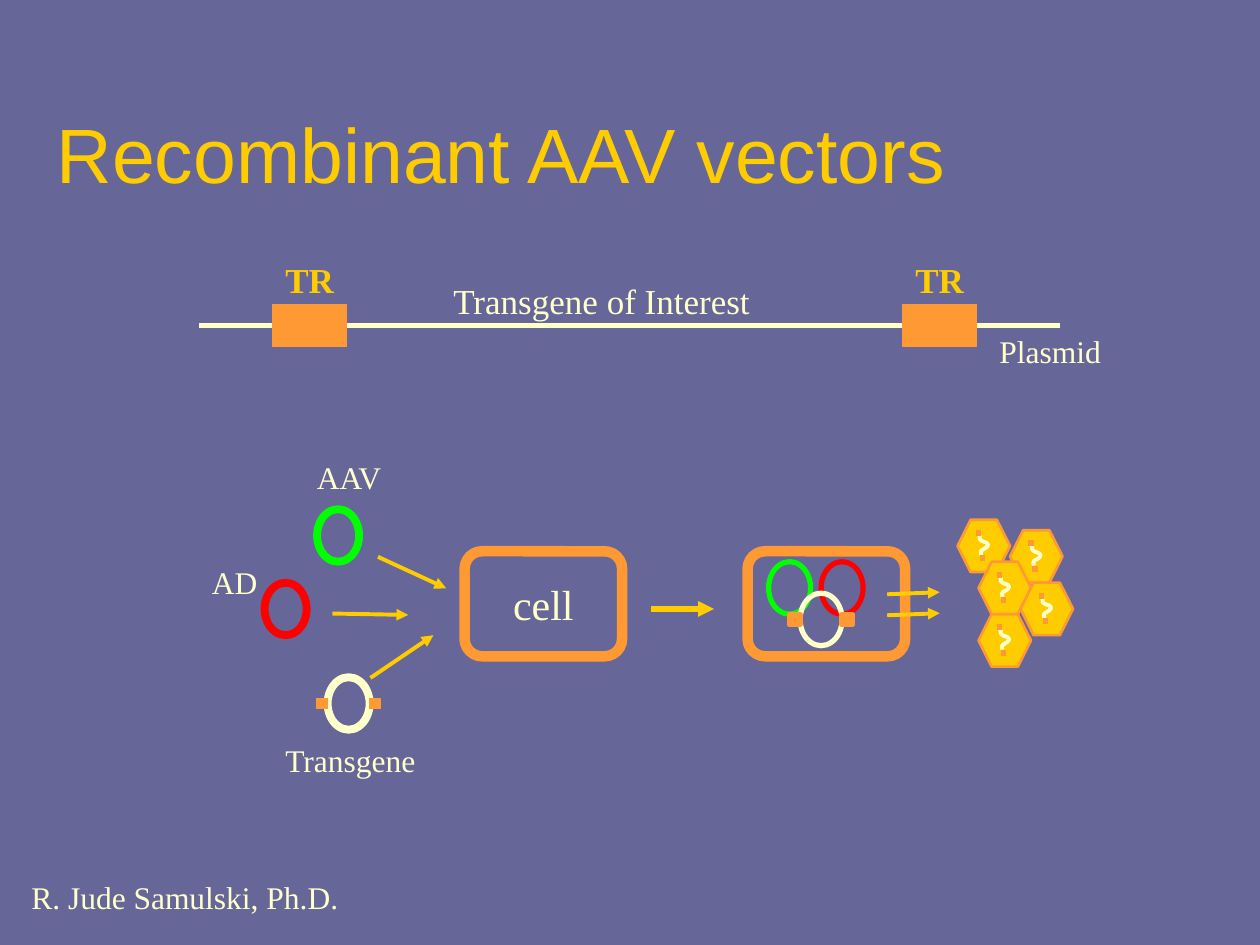
"""Build the slide on recombinant AAV vectors."""
from dataclasses import dataclass
from typing import NamedTuple, Optional

from lxml import etree
from pptx import Presentation, util as u
from pptx.dml.color import RGBColor
from pptx.enum import shapes, text
from pptx.oxml.ns import qn


@dataclass(frozen=True)
class Theme:
    ground: str = "666699"
    gold: str = "FFCC00"
    orange: str = "FF9933"
    cream: str = "FFFFCC"
    green: str = "00FF00"
    red: str = "FF0000"
    sans: str = "Arial"
    serif: str = "Times New Roman"
    title: int = 44
    cell: int = 24
    gene: int = 20
    label: int = 18


THEME = Theme()
KIND = shapes.MSO_SHAPE


class Label(NamedTuple):
    words: str
    left: float
    top: float
    width: float
    height: float = 29
    size: int = THEME.label
    color: str = THEME.cream
    bold: bool = False
    font: str = THEME.serif
    wrap: bool = False


class Figure(NamedTuple):
    kind: KIND
    left: float
    top: float
    width: float
    height: float
    line: str
    weight: float
    fill: Optional[str] = None


class Stroke(NamedTuple):
    x1: float
    y1: float
    x2: float
    y2: float
    color: str = THEME.gold
    weight: float = 2.25
    arrow: bool = True


def apply(target, values: dict) -> None:
    for name, value in values.items():
        setattr(target, name, value)


def write(frame, words: str, font: str, size: int, color: str, bold: bool = False):
    para = frame.paragraphs[0]
    span = para.add_run()
    span.text = words
    apply(span.font, {"name": font, "size": u.Pt(size), "bold": bold})
    span.font.color.rgb = RGBColor.from_string(color)
    return para


def paint(shape, color: str, weight: float, fill: Optional[str] = None) -> None:
    shape.shadow.inherit = False
    shape.line.color.rgb = RGBColor.from_string(color)
    shape.line.width = u.Pt(weight)
    if fill:
        shape.fill.solid()
        shape.fill.fore_color.rgb = RGBColor.from_string(fill)
    else:
        shape.fill.background()


def draw_label(page, label: Label) -> None:
    box = page.shapes.add_textbox(*map(u.Pt, label[1:5]))
    fit = text.MSO_AUTO_SIZE.SHAPE_TO_FIT_TEXT
    anchor = text.MSO_ANCHOR.BOTTOM if label.wrap else text.MSO_ANCHOR.TOP
    apply(box.text_frame, {"word_wrap": label.wrap, "auto_size": fit, "vertical_anchor": anchor})
    write(box.text_frame, label.words, label.font, label.size, label.color, label.bold)


def draw_figure(page, figure: Figure):
    shape = page.shapes.add_shape(figure.kind, *map(u.Pt, figure[1:5]))
    paint(shape, figure.line, figure.weight, figure.fill)
    return shape


def draw_stroke(page, stroke: Stroke) -> None:
    ends = map(u.Pt, stroke[:4])
    connector = page.shapes.add_connector(shapes.MSO_CONNECTOR.STRAIGHT, *ends)
    connector.line.color.rgb = RGBColor.from_string(stroke.color)
    connector.line.width = u.Pt(stroke.weight)
    properties = connector.element.spPr
    if stroke.arrow:
        etree.SubElement(properties.find(qn("a:ln")), qn("a:tailEnd"), type="triangle")
    etree.SubElement(properties, qn("a:effectLst"))


def draw_plasmid(page, left: float, top: float, color: str, weight: float) -> None:
    draw_figure(page, Figure(KIND.OVAL, left, top, 24, 30, color, weight))


def draw_transgene(page, left: float, top: float, weight: float, repeat_weight: float) -> None:
    draw_plasmid(page, left, top, THEME.cream, weight)
    for x in (left + 24, left - 6):
        draw_figure(page, Figure(KIND.RECTANGLE, x, top + 12, 6, 6,
                                 THEME.orange, repeat_weight, THEME.orange))


def draw_cell(page, left: float):
    return draw_figure(page, Figure(KIND.ROUNDED_RECTANGLE, left, 315, 90, 60, THEME.orange, 6))


def draw_virus(page, left: float, top: float) -> None:
    draw_figure(page, Figure(KIND.HEXAGON, left, top, 30, 30, THEME.orange, 1.5, THEME.gold))
    start, *rest = [(u.Pt(left + x), u.Pt(top + y)) for x, y in GENOME]
    builder = page.shapes.build_freeform(*start, scale=1.0)
    builder.add_line_segments(rest, close=False)
    paint(builder.convert_to_shape(), THEME.cream, 2.25)
    for x, y in ((14.2, 20.4), (12, 5.8)):
        draw_stroke(page, Stroke(left + x, top + y + 3.4, left + x, top + y,
                                 THEME.orange, 3, False))


GENOME = [(12.2, 8.6), (12.7, 9.6), (12.6, 10.8), (13, 11.5), (14, 12.2), (16.4, 13),
          (17.2, 13.7), (17.4, 14.6), (16.6, 15.7), (15.6, 16.4), (13.8, 17.4),
          (13.2, 18.6), (13.7, 20.2)]
VIRUSES = [(547.2, 297), (577.2, 303), (559.2, 321), (583.2, 333), (559.2, 351)]
LABELS = [
    Label("Recombinant AAV vectors", 25.2, 56.5, 680.4, 60.5, THEME.title,
          THEME.gold, font=THEME.sans, wrap=True),
    Label("Transgene of Interest", 252, 156.2, 184.3, 31.7, THEME.gene),
    Label("Plasmid", 564, 186, 76),
    Label("AAV", 174, 258, 55),
    Label("AD", 114, 318.2, 42),
    Label("Transgene", 156, 419.8, 91),
    Label("R. Jude Samulski, Ph.D.", 10.8, 498.2, 192),
]
ARROWS = [
    Stroke(211.7, 387.4, 247.7, 363),
    Stroke(216, 318.2, 255, 336.2),
    Stroke(190, 350.6, 233.3, 351.4),
    Stroke(372, 348, 408, 348, weight=3),
    Stroke(507, 339.6, 537, 338.4),
    Stroke(507, 351.6, 537, 350.4),
]


def main() -> None:
    deck = Presentation()
    apply(deck, {"slide_width": u.Pt(720), "slide_height": u.Pt(540)})
    page = deck.slides.add_slide(deck.slide_layouts[6])
    page.background.fill.solid()
    page.background.fill.fore_color.rgb = RGBColor.from_string(THEME.ground)

    draw_stroke(page, Stroke(114, 186, 606, 186, THEME.cream, 3, False))
    for left in (156, 516):
        draw_figure(page, Figure(KIND.RECTANGLE, left, 174, 42, 24,
                                 THEME.orange, 0.75, THEME.orange))
        draw_label(page, Label("TR", left, 144, 43, 31.7, THEME.gene, THEME.gold, True))
    for label in LABELS:
        draw_label(page, label)

    frame = draw_cell(page, 265.5).text_frame
    apply(frame, {"word_wrap": False, "vertical_anchor": text.MSO_ANCHOR.MIDDLE})
    para = write(frame, "cell", THEME.serif, THEME.cell, THEME.cream)
    para.alignment = text.PP_ALIGN.CENTER
    draw_plasmid(page, 181.2, 291, THEME.green, 4.5)
    draw_plasmid(page, 151.2, 333, THEME.red, 4.5)
    draw_transgene(page, 187.2, 387, 4.5, 0.75)

    draw_cell(page, 427.2)
    draw_plasmid(page, 439.2, 321, THEME.green, 3)
    draw_plasmid(page, 469.2, 321, THEME.red, 3)
    draw_transgene(page, 457.2, 339, 3, 3)
    for left, top in VIRUSES:
        draw_virus(page, left, top)
    for arrow in ARROWS:
        draw_stroke(page, arrow)
    deck.save("out.pptx")


if __name__ == "__main__":
    main()
